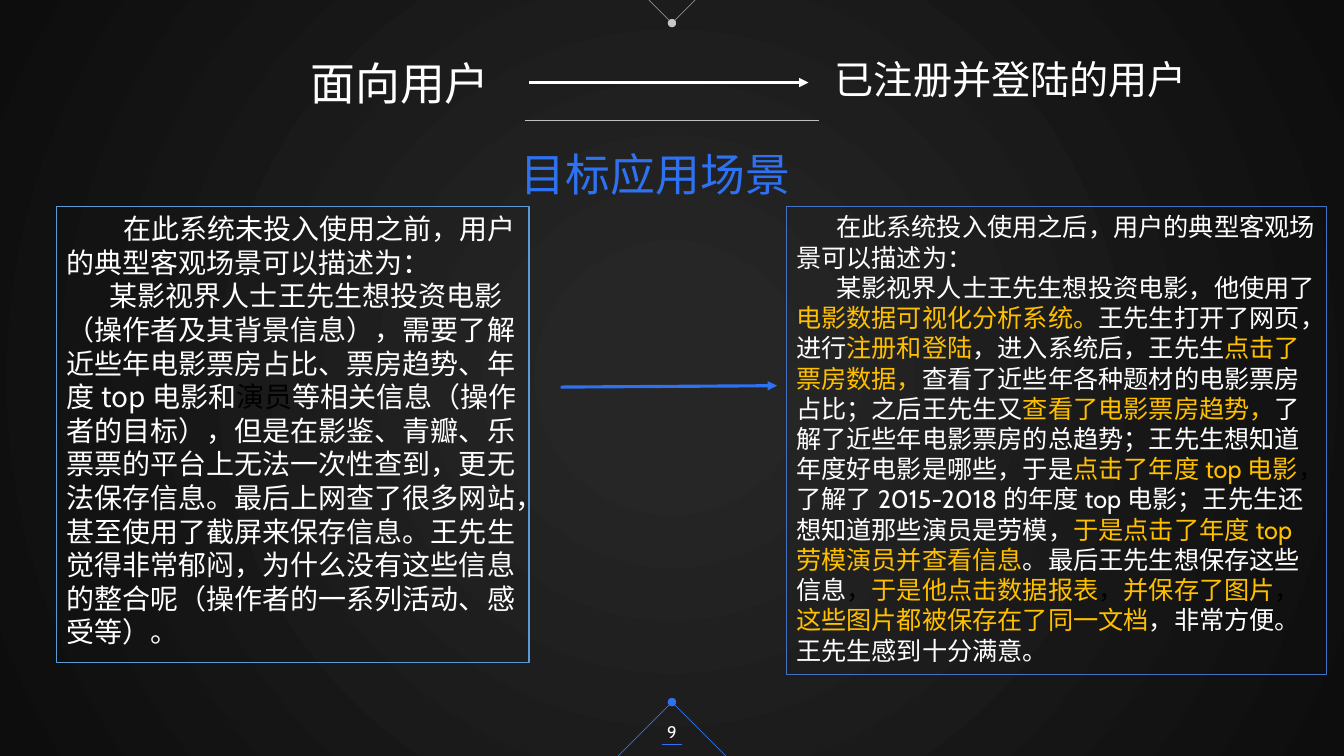
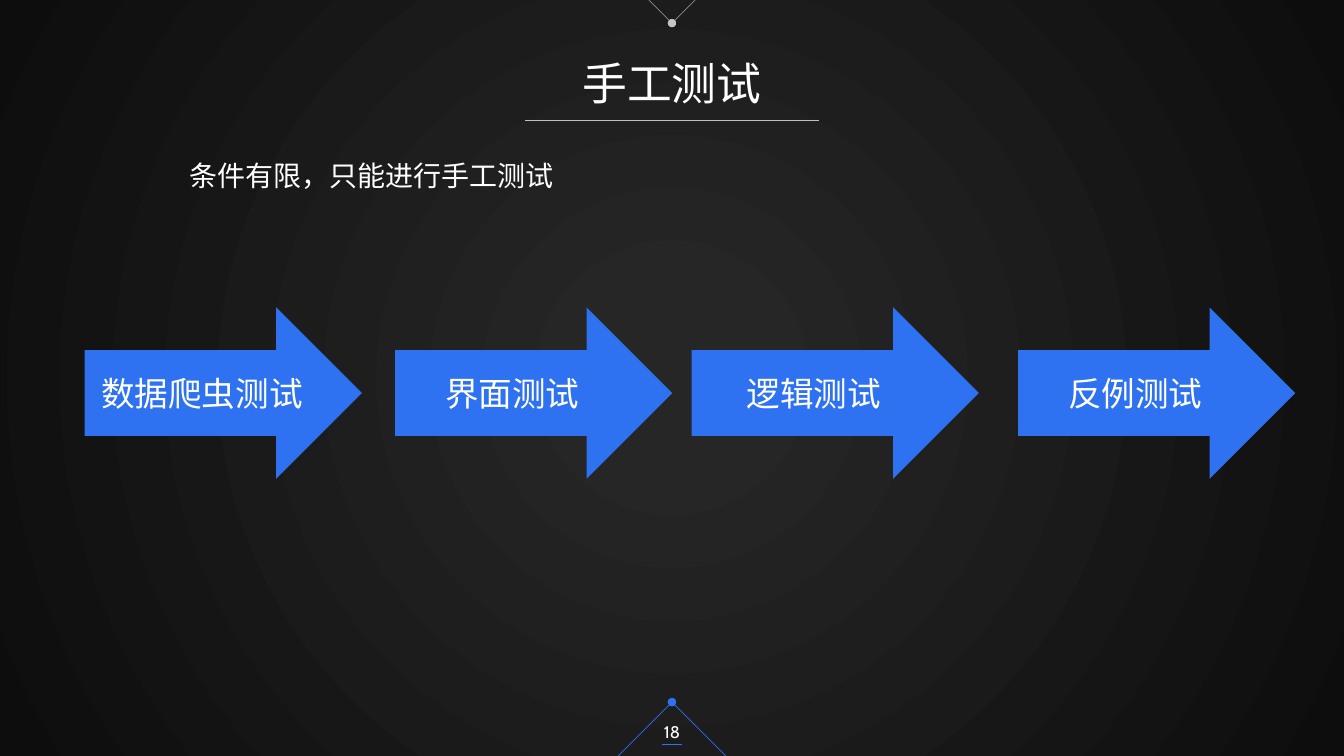
from lxml import etree
from pptx import Presentation
from pptx.dml.color import RGBColor
from pptx.enum.shapes import MSO_CONNECTOR, MSO_SHAPE
from pptx.enum.text import MSO_ANCHOR, MSO_AUTO_SIZE, PP_ALIGN
from pptx.oxml.ns import qn
from pptx.util import Pt

STRAIGHT = MSO_CONNECTOR.STRAIGHT
RECTANGLE, RIGHT_ARROW = MSO_SHAPE.RECTANGLE, MSO_SHAPE.RIGHT_ARROW
TOP, MIDDLE = MSO_ANCHOR.TOP, MSO_ANCHOR.MIDDLE
LEFT, CENTER = PP_ALIGN.LEFT, PP_ALIGN.CENTER
NO_FIT = MSO_AUTO_SIZE.NONE

WHITE = RGBColor(0xFF, 0xFF, 0xFF)
BLACK = RGBColor(0x00, 0x00, 0x00)
BLUE = RGBColor(0x2E, 0x72, 0xF1)
GOLD = RGBColor(0xFF, 0xC0, 0x00)
RULE_GRAY = RGBColor(0xBF, 0xBF, 0xBF)
BEFORE_BORDER = RGBColor(0x5B, 0x9B, 0xD5)
AFTER_BORDER = RGBColor(0x44, 0x72, 0xC4)
GLOW = RGBColor(0x26, 0x26, 0x26)
EDGE = RGBColor(0x0D, 0x0D, 0x0D)
LATIN, CJK = "Cabin", "Noto Sans CJK SC"

WIDTH, HEIGHT = 960, 540
CENTER_X = WIDTH / 2

BEFORE = [
    [("在此系统未投入使用之前，用户的典型客观场景可以描述为：", WHITE)],
    [
        ("某影视界人士王先生想投资电影（操作者及其背景信息），需要了解近些年电影票房占比、票房趋势、年度top电影和", WHITE),
        ("演员", BLACK),
        ("等相关信息（操作者的目标），但是在影鉴、青瓣、乐票票的平台上无法一次性查到，更无法保存信息。"
         "最后上网查了很多网站，甚至使用了截屏来保存信息。王先生觉得非常郁闷，"
         "为什么没有这些信息的整合呢（操作者的一系列活动、感受等）。", WHITE),
    ],
]
AFTER = [
    [("在此系统投入使用之后，用户的典型客观场景可以描述为：", WHITE)],
    [
        ("某影视界人士王先生想投资电影，他使用了", WHITE),
        ("电影数据可视化分析系统。", GOLD),
        ("王先生打开了网页，进行", WHITE),
        ("注册和登陆", GOLD),
        ("，进入系统后，王先生", WHITE),
        ("点击了票房数据，", GOLD),
        ("查看了近些年各种题材的电影票房占比；之后王先生又", WHITE),
        ("查看了电影票房趋势，", GOLD),
        ("了解了近些年电影票房的总趋势；王先生想知道年度好电影是哪些，于是", WHITE),
        ("点击了年度top电影", GOLD),
        ("，", BLACK),
        ("了解了2015-2018的年度top电影；王先生还想知道那些演员是劳模，", WHITE),
        ("于是点击了年度top劳模演员并查看信息", GOLD),
        ("。最后王先生想保存这些信息", WHITE),
        ("，", BLACK),
        ("于是他点击数据报表", GOLD),
        ("，", BLACK),
        ("并保存了图片", GOLD),
        ("，", BLACK),
        ("这些图片都被保存在了同一文档", GOLD),
        ("，非常方便。王先生感到十分满意。", WHITE),
    ],
]
SCENARIOS = [
    (BEFORE, (40.3, 147.6, 337.7, 325.5), BEFORE_BORDER,
     dict(size=20, font=CJK, indents=(40.5, 31))),
    (AFTER, (561.6, 147.6, 386, 334), AFTER_BORDER,
     dict(size=18, indents=(28.5, 28.5))),
]
TESTS = [
    ("数据爬虫测试", 60.5, 198),
    ("界面测试", 282.2, 198),
    ("逻辑测试", 494, 205.2),
    ("反例测试", 727.2, 198),
]
TESTS_TOP, TESTS_HEIGHT = 219.6, 122.4


def write(frame, text, size=20, color=WHITE, font=LATIN, align=LEFT, anchor=TOP, indents=()):
    paragraphs = [[(text, color)]] if isinstance(text, str) else text
    frame.word_wrap = True
    frame.auto_size = NO_FIT
    frame.vertical_anchor = anchor
    for index, pieces in enumerate(paragraphs):
        paragraph = frame.add_paragraph() if index else frame.paragraphs[0]
        paragraph.alignment = align
        paragraph.line_spacing = Pt(size * 1.2)
        if indents:
            paragraph._p.get_or_add_pPr().set("indent", str(Pt(indents[index])))
        for words, ink in pieces:
            run = paragraph.add_run()
            run.text = words
            run.font.size = Pt(size)
            run.font.name = font
            run.font.color.rgb = ink
            east_asian = etree.Element(qn("a:ea"), typeface=CJK)
            run.font._element.find(qn("a:latin")).addnext(east_asian)


def points(box):
    return [Pt(value) for value in box]


def add_label(slide, text, box, **style):
    write(slide.shapes.add_textbox(*points(box)).text_frame, text, **style)


def add_block(slide, kind, text, box, fill=None, border=None, **style):
    block = slide.shapes.add_shape(kind, *points(box))
    block.shadow.inherit = False
    if fill is None:
        block.fill.background()
    else:
        block.fill.solid()
        block.fill.fore_color.rgb = fill
    if border is None:
        block.line.fill.background()
    else:
        block.line.color.rgb = border
        block.line.width = Pt(1)
    write(block.text_frame, text, **style)


def add_line(slide, start, end, color, width=0.5, tail=None, alpha=None):
    line = slide.shapes.add_connector(STRAIGHT, *points(start + end))
    line.line.color.rgb = color
    line.line.width = Pt(width)
    properties = line._element.spPr
    outline = properties.find(qn("a:ln"))
    if alpha:
        tint = outline.find(".//" + qn("a:srgbClr"))
        etree.SubElement(tint, qn("a:alpha"), val=str(alpha * 1000))
    if tail:
        etree.SubElement(outline, qn("a:tailEnd"), type=tail)
    etree.SubElement(properties, qn("a:effectLst"))


def paint_background(layout):
    fill = layout.background.fill
    fill.gradient()
    for stop, color, position in zip(fill.gradient_stops, (GLOW, EDGE), (0.11, 1)):
        stop.color.rgb = color
        stop.position = position
    gradient = layout.element.find(".//" + qn("a:gradFill"))
    gradient.remove(gradient.find(qn("a:lin")))
    circle = etree.SubElement(gradient, qn("a:path"), path="circle")
    etree.SubElement(circle, qn("a:fillToRect"), l="50000", t="50000", r="50000", b="50000")


def add_page(deck, layout, title, title_box, number, align=CENTER):
    slide = deck.slides.add_slide(layout)
    heading = slide.shapes.title
    heading.left, heading.top, heading.width, heading.height = points(title_box)
    write(heading.text_frame, title, size=32, align=align)
    add_line(slide, (375, 86), (585, 86), RULE_GRAY)
    for side in (-1, 1):
        add_line(slide, (CENTER_X + side * 16.5, 0), (CENTER_X, 16.5), WHITE, tail="oval", alpha=50)
        add_line(slide, (CENTER_X + side * 38.5, HEIGHT), (CENTER_X, 501.5), BLUE, tail="oval")
    add_line(slide, (473, 531.5), (487, 531.5), BLUE)
    add_label(slide, number, (455, 508.5, 50, 28.5), size=12, align=CENTER, anchor=MIDDLE)
    return slide


def main():
    deck = Presentation()
    deck.slide_width, deck.slide_height = Pt(WIDTH), Pt(HEIGHT)
    layout = deck.slide_layouts[5]
    paint_background(layout)

    users = add_page(deck, layout, "面向用户", (214.6, 36, 185.8, 46), "9", align=LEFT)
    add_label(users, "已注册并登陆的用户", (561.6, 36, 321, 41), size=28, align=CENTER)
    add_label(users, "目标应用场景", (343, 101.5, 250.5, 46), size=32, color=BLUE, align=CENTER)
    for text, box, border, style in SCENARIOS:
        add_block(users, RECTANGLE, text, box, border=border, **style)
    add_line(users, (400.5, 276.5), (555, 275.5), BLUE, width=2.25, tail="triangle")
    add_line(users, (378, 59), (577.5, 59), WHITE, width=2.25, tail="triangle")

    testing = add_page(deck, layout, "手工测试", (393, 36, 174, 46), "18")
    add_label(testing, "条件有限，只能进行手工测试", (128, 110, 314, 31.5))
    for name, left, width in TESTS:
        add_block(testing, RIGHT_ARROW, name, (left, TESTS_TOP, width, TESTS_HEIGHT),
                  fill=BLUE, size=24, align=CENTER, anchor=MIDDLE)

    deck.save("out.pptx")


if __name__ == "__main__":
    main()
